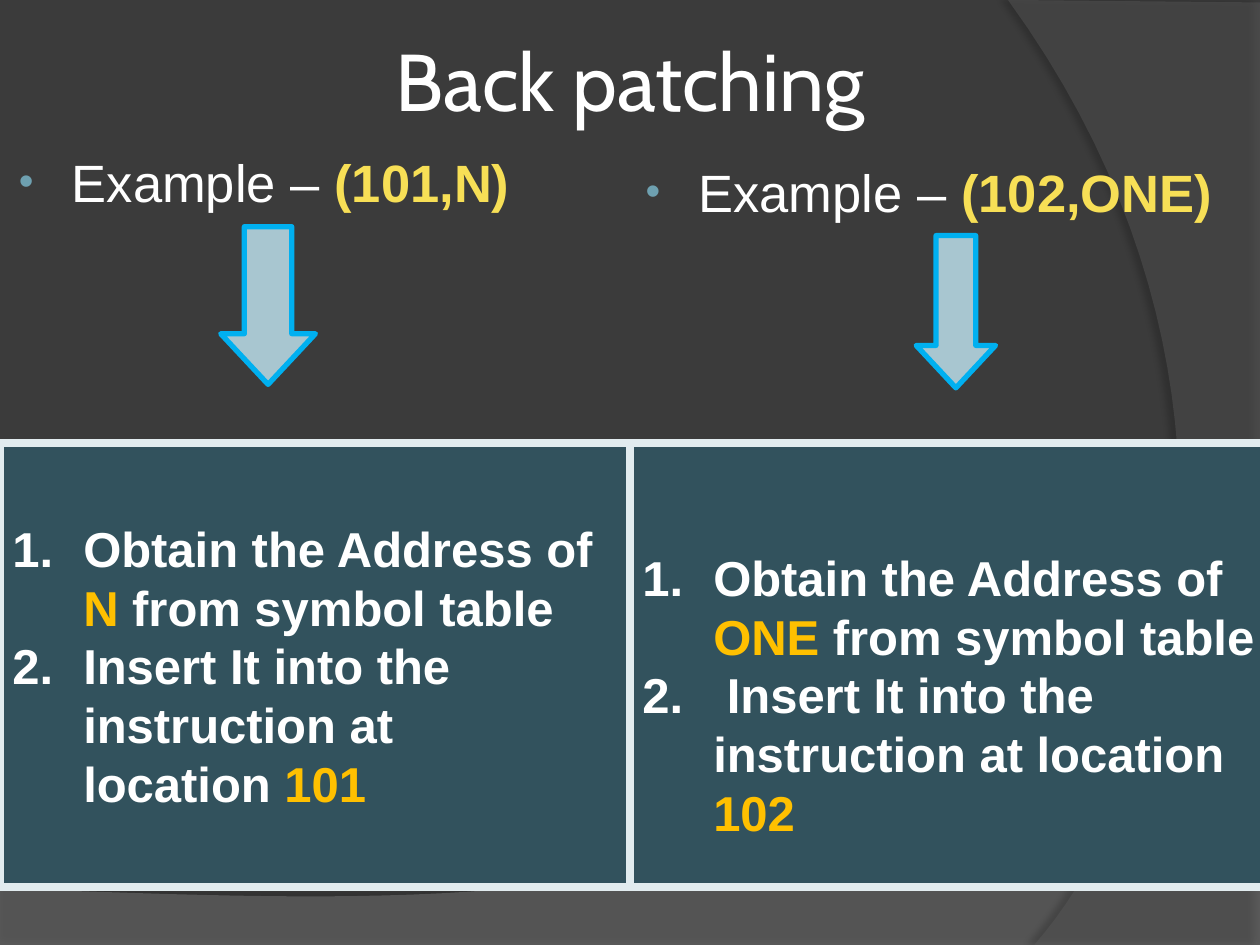
from lxml import etree
from pptx import Presentation
from pptx import util as u
from pptx.dml.color import RGBColor
from pptx.enum import shapes, text
from pptx.oxml import parse_xml
from pptx.oxml.ns import qn

NS = 'xmlns:a="http://schemas.openxmlformats.org/drawingml/2006/main"'
WHITE, YELLOW, AMBER = "FFFFFF", "F7DF56", "FFC000"
BULLET = ('<a:buClr {0}><a:srgbClr val="6EA0B0"/></a:buClr>', '<a:buSzPct {0} val="80000"/>',
          '<a:buFont {0} typeface="Arial"/>', '<a:buChar {0} char="•"/>')
NUMBER = ('<a:buFont {0} typeface="+mj-lt"/>', '<a:buAutoNum {0} type="arabicPeriod"/>')


def color(value):
    return RGBColor.from_string(value)


def lengths(box):
    return [u.Cm(value) for value in box]


def set_frame(shape, **values):
    frame = shape.text_frame
    settings = {"word_wrap": True, "auto_size": text.MSO_AUTO_SIZE.NONE, **values}
    for name, value in settings.items():
        setattr(frame, name, value)
    return frame


def add_runs(paragraph, runs, **values):
    """Each run is (words, colour, bold)."""
    for words, run_color, bold in runs:
        run = paragraph.add_run()
        run.text = words
        for name, value in {**values, "bold": bold}.items():
            setattr(run.font, name, value)
        run.font.color.rgb = color(run_color)


def set_list(paragraph, marks, margin, hanging):
    properties = paragraph._p.get_or_add_pPr()
    properties.set("marL", str(u.Cm(margin)))
    properties.set("indent", str(-u.Cm(hanging)))
    for mark in marks:
        properties.append(parse_xml(mark.format(NS)))


def curve(start, first, second, end, steps=40):
    points = []
    for step in range(1, steps + 1):
        t = step / steps
        weights = ((1 - t) ** 3, 3 * t * (1 - t) ** 2, 3 * t ** 2 * (1 - t), t ** 3)
        points.append(tuple(sum(w * point[axis] for w, point in
                                zip(weights, (start, first, second, end)))
                            for axis in (0, 1)))
    return points


def add_swoosh(slide, corners, bend, fill, opacity, shadow):
    points = corners + curve(corners[-1], *bend)
    builder = slide.shapes.build_freeform(*lengths(points[0]), scale=1.0)
    builder.add_line_segments([lengths(point) for point in points[1:]], close=True)
    shape = builder.convert_to_shape()
    shape.fill.solid()
    shape.fill.fore_color.rgb = color(fill)
    shape.line.fill.background()
    # Transparency and soft shadow
    fill_color = shape.element.spPr.find(".//" + qn("a:srgbClr"))
    etree.SubElement(fill_color, qn("a:alpha"), val=str(opacity * 1000))
    alpha, blur, distance, angle = shadow
    shape.element.spPr.append(parse_xml(
        f'<a:effectLst {NS}><a:outerShdw blurRad="{u.Pt(blur)}" dist="{u.Pt(distance)}" '
        f'dir="{angle * 60000}" algn="ctr" rotWithShape="0"><a:srgbClr val="000000">'
        f'<a:alpha val="{alpha * 1000}"/></a:srgbClr></a:outerShdw></a:effectLst>'))


def add_background(slide):
    slide.background.fill.solid()
    slide.background.fill.fore_color.rgb = color("3B3B3B")
    add_swoosh(slide, [(0, 17.91), (0, 19.08), (25.4, 19.08), (25.4, 13.21)],
               [(14.2, 18.52), (9.93, 18.26), (0, 17.91)], "7F7F7F", 45, (35, 4, 3.5, 270))
    add_swoosh(slide, [(25.4, 0.05), (25.4, 19.05), (20.85, 19.05)],
               [(23.75, 15.72), (25.86, 7.62), (20.32, 0)], "5E5E5E", 40, (45, 4, 4, 180))


def add_title(slide, box, words):
    title = slide.shapes.title
    title.left, title.top, title.width, title.height = lengths(box)
    frame = set_frame(title, vertical_anchor=text.MSO_ANCHOR.MIDDLE)
    frame.paragraphs[0].alignment = text.PP_ALIGN.CENTER
    add_runs(frame.paragraphs[0], [(words, WHITE, False)], name="Cabin", size=u.Pt(46))
    slide.shapes._spTree.append(title.element)  # in front of the background


def add_block(slide, kind, box, fill, line, width):
    shape = slide.shapes.add_shape(kind, *lengths(box))
    shape.shadow.inherit = False
    shape.fill.solid()
    shape.fill.fore_color.rgb = color(fill)
    shape.line.color.rgb = color(line)
    shape.line.width = u.Pt(width)
    return shape


def add_example(slide, box, pair):
    label = slide.shapes.add_textbox(*lengths(box))
    paragraph = set_frame(label, margin_top=u.Cm(0.25)).paragraphs[0]
    set_list(paragraph, BULLET, 1.17, 1.07)
    paragraph.alignment = text.PP_ALIGN.CENTER
    add_runs(paragraph, [("Example – ", WHITE, False), (pair, YELLOW, True)],
             name="Arial", size=u.Pt(30))


def add_arrow(slide, box):
    arrow = add_block(slide, shapes.MSO_SHAPE.DOWN_ARROW, box, "A8C6D0", "00B0F0", 3)
    arrow.adjustments[0], arrow.adjustments[1] = 0.5, 0.535


def add_steps(slide, box, steps, margin_top):
    panel = add_block(slide, shapes.MSO_SHAPE.RECTANGLE, box, "32525D", "E2ECEF", 4.5)
    frame = set_frame(panel, vertical_anchor=text.MSO_ANCHOR.MIDDLE,
                      margin_top=u.Cm(margin_top))
    for index, runs in enumerate(steps):
        paragraph = frame.add_paragraph() if index else frame.paragraphs[0]
        set_list(paragraph, NUMBER, 1.43, 1.43)
        paragraph.alignment = text.PP_ALIGN.LEFT
        for line_index, line in enumerate(runs):
            if line_index:
                paragraph.add_line_break()
            add_runs(paragraph, [(words, run_color, True) for words, run_color in line],
                     name="Arial", size=u.Pt(28))


def symbol_step(symbol):
    return [[("Obtain the Address of ", WHITE), (symbol + " ", AMBER),
             ("from symbol table", WHITE)]]


def main():
    presentation = Presentation()
    presentation.slide_width, presentation.slide_height = lengths((25.4, 19.05))
    slide = presentation.slides.add_slide(presentation.slide_layouts[5])
    add_background(slide)
    add_title(slide, (1.27, 0, 22.86, 3.18), "Back patching")

    # Left column
    add_example(slide, (-0.58, 2.77, 11.71, 6.35), "(101,N)")
    add_steps(slide, (0, 8.94, 12.9, 8.94),
              [symbol_step("N"),
               [[("Insert It into the instruction at", WHITE)],
                [("location ", WHITE), ("101", AMBER)]]], 0.13)
    add_arrow(slide, (4.45, 4.57, 1.91, 3.18))

    # Right column
    add_example(slide, (12.12, 2.97, 13.11, 6.15), "(102,ONE)")
    add_steps(slide, (12.7, 8.94, 12.9, 8.94),
              [symbol_step("ONE"),
               [[(" Insert It into the instruction at location ", WHITE), ("102", AMBER)]]], 1.3)
    add_arrow(slide, (18.47, 4.75, 1.6, 3.07))

    presentation.save("out.pptx")


if __name__ == "__main__":
    main()
